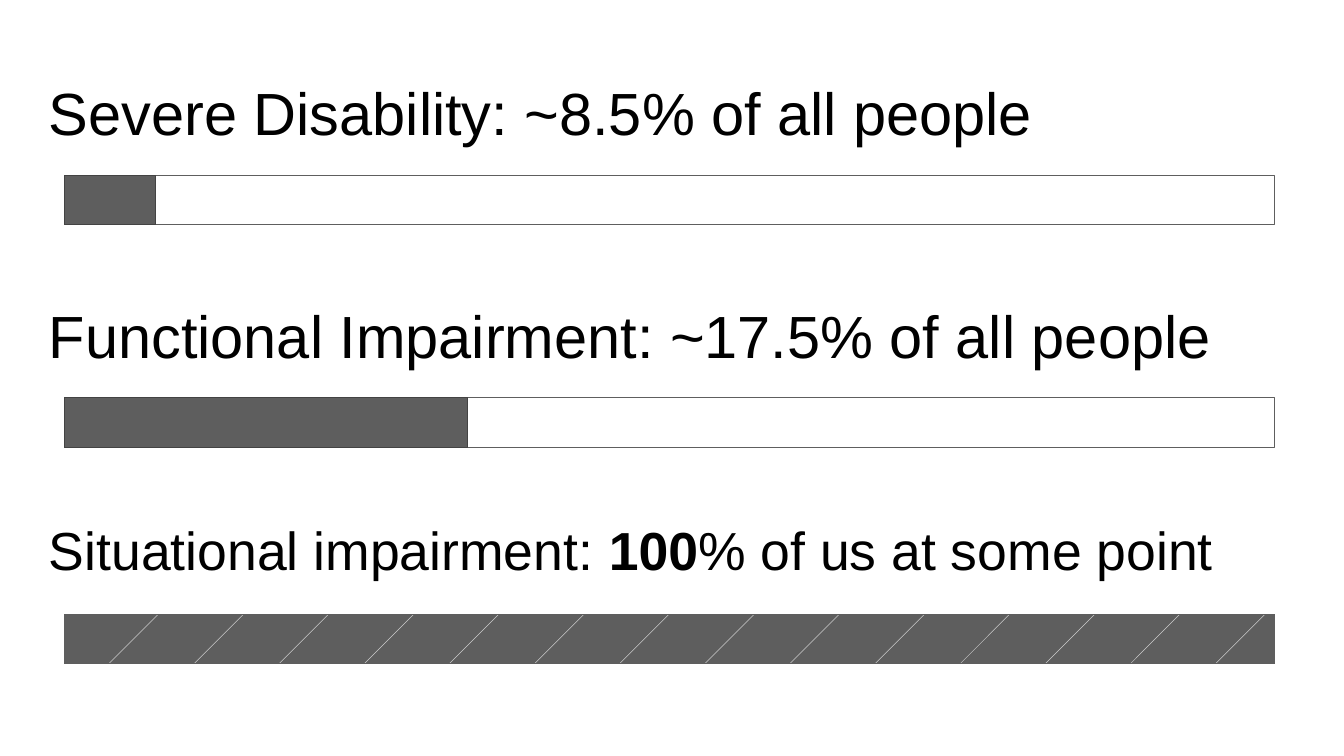
import pptx
import pptx.dml.color
import pptx.enum.shapes
import pptx.enum.text
import pptx.util
from dataclasses import dataclass
from lxml import etree
from pptx.util import Inches


@dataclass(frozen=True)
class Theme:
    font: str = "Arial"
    text: str = "000000"
    white: str = "FFFFFF"
    bar: str = "5E5E5E"
    bar_edge: str = "434343"
    hatch: str = "CCCCCC"
    heading_size: float = 85
    small_heading_size: float = 76.5
    line_width: float = 0.75


THEME = Theme()
LEFT, WIDTH, HEIGHT = 1.28, 24, 0.98


def color(value):
    return pptx.dml.color.RGBColor.from_string(value)


def apply_format(target, values):
    for name, value in values.items():
        setattr(target, name, value)


def add_heading(slide, top, runs, size, shape=None):
    """Write a heading in the given placeholder, or in a new text box."""
    box = [Inches(value) for value in (0.91, top, 24.85, 1.67)]
    if shape is None:
        shape = slide.shapes.add_textbox(*box)
    apply_format(shape, dict(zip(("left", "top", "width", "height"), box)))
    frame = shape.text_frame
    margins = ("margin_left", "margin_top", "margin_right", "margin_bottom")
    apply_format(frame, {
        **dict.fromkeys(margins, Inches(0.06)),
        "word_wrap": True,
        "auto_size": pptx.enum.text.MSO_AUTO_SIZE.NONE,
        "vertical_anchor": pptx.enum.text.MSO_ANCHOR.TOP,
    })
    paragraph = frame.paragraphs[0]
    apply_format(paragraph, {
        "alignment": pptx.enum.text.PP_ALIGN.LEFT,
        "line_spacing": 0.8,
    })
    for text, bold in runs:
        run = paragraph.add_run()
        run.text = text
        apply_format(run.font, {
            "name": THEME.font, "size": pptx.util.Pt(size), "bold": bold,
        })
        run.font.color.rgb = color(THEME.text)


def set_line(line, value):
    line.color.rgb = color(value)
    line.width = pptx.util.Pt(THEME.line_width)


def add_bar(group, top, width=WIDTH, height=HEIGHT, fill=None, edge=None):
    """Add a rectangle that starts at the common left edge."""
    shape = group.shapes.add_shape(
        pptx.enum.shapes.MSO_SHAPE.RECTANGLE,
        Inches(LEFT), Inches(top), Inches(width), Inches(height))
    shape.shadow.inherit = False
    if fill:
        shape.fill.solid()
        shape.fill.fore_color.rgb = color(fill)
    else:
        shape.fill.background()
    if edge:
        set_line(shape.line, edge)
    else:
        shape.line.fill.background()


def add_share_bar(slide, top, filled_width):
    group = slide.shapes.add_group_shape()
    add_bar(group, top, fill=THEME.white, edge=THEME.bar)
    add_bar(group, top, filled_width, fill=THEME.bar, edge=THEME.bar_edge)


def add_hatch_line(group, left, bottom, size):
    connector = group.shapes.add_connector(
        pptx.enum.shapes.MSO_CONNECTOR.STRAIGHT,
        Inches(left), Inches(bottom), Inches(left + size), Inches(bottom - size))
    set_line(connector.line, THEME.hatch)
    properties = connector._element.spPr
    etree.SubElement(properties, pptx.oxml.ns.qn("a:effectLst"))


def add_hatched_bar(slide, top):
    group = slide.shapes.add_group_shape()
    add_bar(group, top, fill=THEME.bar, edge=THEME.bar_edge)
    for index in range(14):
        add_hatch_line(group, 1.92 + index * 21.96 / 13, top + 1.22, 1.33)
    # White strips trim the hatch lines to the height of the bar
    add_bar(group, top + HEIGHT, height=0.41, fill=THEME.white)
    add_bar(group, top - 0.2, height=0.21, fill=THEME.white)
    add_bar(group, top, edge=THEME.bar)


def main():
    presentation = pptx.Presentation()
    presentation.slide_width = Inches(26.67)
    presentation.slide_height = Inches(15)
    slide = presentation.slides.add_slide(presentation.slide_layouts[5])
    slide.background.fill.solid()
    slide.background.fill.fore_color.rgb = color(THEME.white)

    # Severe disability
    add_heading(slide, 1.73, [("Severe Disability: ~8.5% of all people", False)],
                THEME.heading_size, slide.shapes.title)
    add_share_bar(slide, 3.48, 1.81)

    # Functional impairment
    add_heading(slide, 6.14,
                [("Functional Impairment: ~17.5% of all people", False)],
                THEME.heading_size)
    add_share_bar(slide, 7.89, 8)

    # Situational impairment
    add_heading(slide, 10.45, [
        ("Situational impairment: ", False),
        ("100", True),
        ("% of us at some point", False),
    ], THEME.small_heading_size)
    add_hatched_bar(slide, 12.19)

    presentation.save("out.pptx")


if __name__ == "__main__":
    main()
